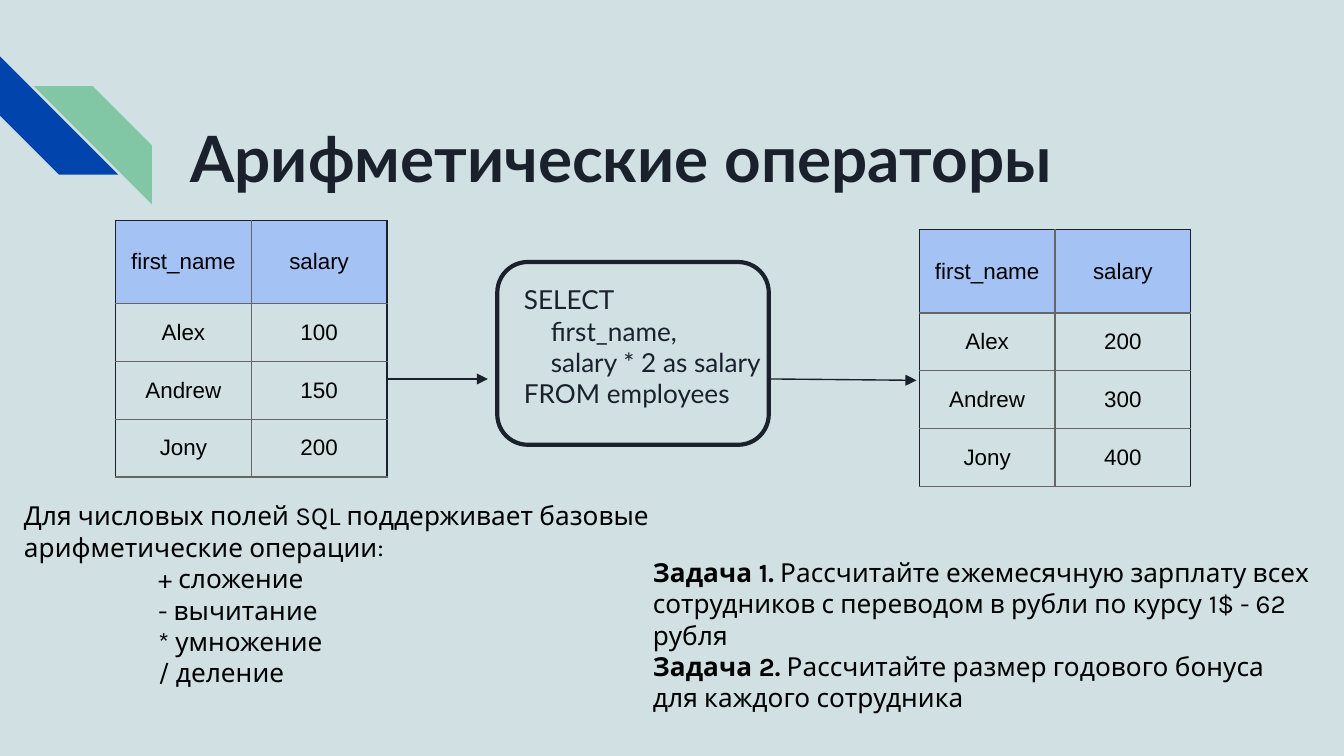
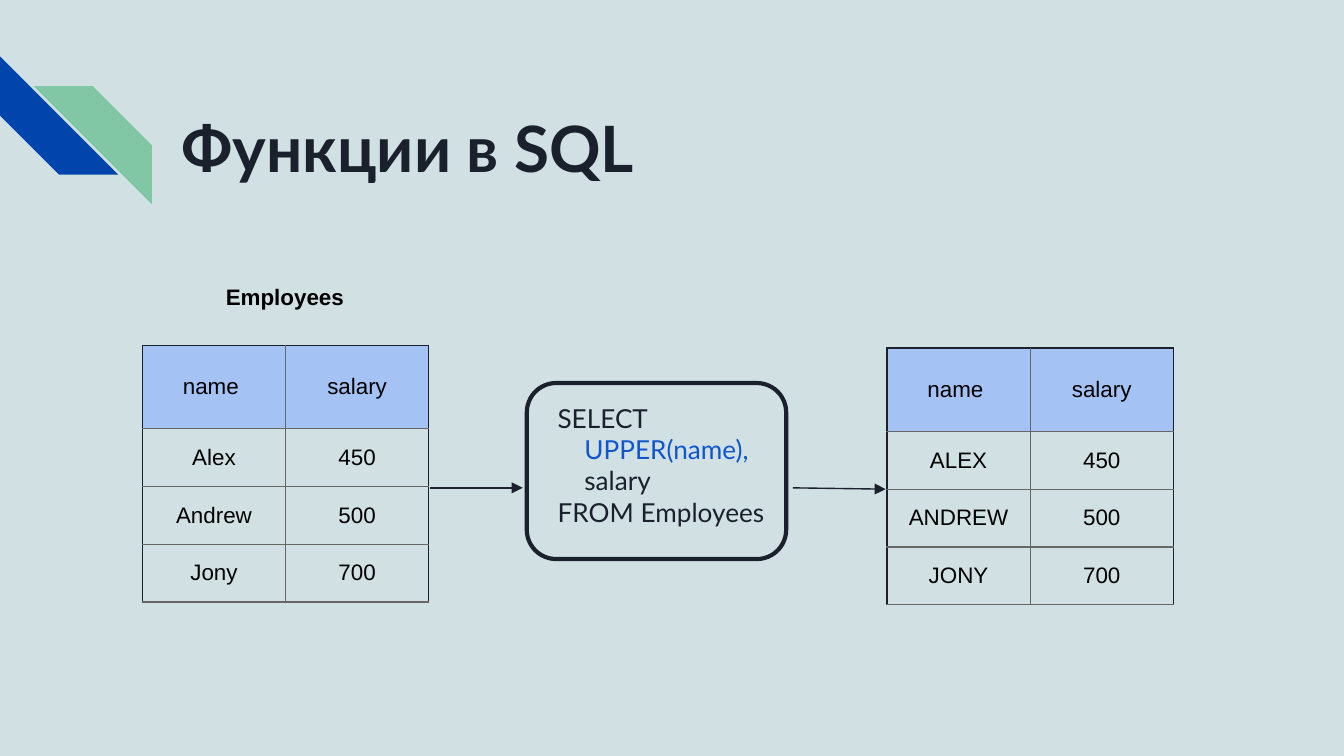
from lxml import etree
from pptx import Presentation
from pptx.dml.color import RGBColor
from pptx.enum.shapes import MSO_CONNECTOR, MSO_SHAPE
from pptx.enum.text import MSO_ANCHOR, MSO_AUTO_SIZE, PP_ALIGN
from pptx.oxml.ns import qn
from pptx.util import Inches, Pt

STRIPE = MSO_SHAPE.DIAGONAL_STRIPE
ROUND_RECT = MSO_SHAPE.ROUNDED_RECTANGLE
STRAIGHT = MSO_CONNECTOR.STRAIGHT
MIDDLE = MSO_ANCHOR.MIDDLE
LEFT, CENTER = PP_ALIGN.LEFT, PP_ALIGN.CENTER
GROW = MSO_AUTO_SIZE.SHAPE_TO_FIT_TEXT

BACKGROUND = RGBColor(0xD0, 0xE0, 0xE3)
INK = RGBColor(0x1B, 0x21, 0x2C)
BLACK = RGBColor(0, 0, 0)
GREY = RGBColor(0x66, 0x66, 0x66)
BLUE = RGBColor(0x01, 0x45, 0xAC)
GREEN = RGBColor(0x82, 0xC7, 0xA5)
HEADER = RGBColor(0xA4, 0xC2, 0xF4)
ACCENT = RGBColor(0x11, 0x55, 0xCC)

HEADING_FONT, BODY_FONT, TABLE_FONT = "Lato", "Karla", "Arial"
HEADER_HEIGHT, ROW_HEIGHT = 0.62, 0.43
MARGIN = 0.1
CODE_INDENT = 0.2
BODY_INDENT, LIST_INDENT = 0.11, 1.11


def write(p, text, font=BODY_FONT, size=14, color=BLACK, bold=False,
          align=LEFT, indent=0):
    """Append one formatted run to a paragraph and set its layout."""
    p.alignment = align
    if indent:
        pPr = p._p.get_or_add_pPr()
        pPr.set("marL", str(Inches(indent)))
        pPr.set("indent", "0")
    r = p.add_run()
    r.text = text
    r.font.name = font
    r.font.size = Pt(size)
    r.font.bold = bold
    r.font.color.rgb = color


def set_borders(cell, **colors):
    """Draw thin cell borders; keys are L, R, T and B."""
    tcPr = cell._tc.get_or_add_tcPr()
    for i, side in enumerate("LRTB"):
        ln = etree.Element(qn("a:ln" + side), w=str(Pt(0.75)))
        fill = etree.SubElement(ln, qn("a:solidFill"))
        etree.SubElement(fill, qn("a:srgbClr"), val=str(colors[side]))
        tcPr.insert(i, ln)


class Deck:
    """Holds the shared style and the current slide."""

    def __init__(self):
        """Start a 16:9 presentation with the common background."""
        self.prs = Presentation()
        self.prs.slide_width = Inches(10)
        self.prs.slide_height = self.prs.slide_width * 9 // 16
        fill = self.prs.slide_master.background.fill
        fill.solid()
        fill.fore_color.rgb = BACKGROUND
        self.s = None

    def slide(self, title, x, y, w, h):
        """Add a slide with the corner stripes and a title."""
        self.s = self.prs.slides.add_slide(self.prs.slide_layouts[6])
        group = self.s.shapes.add_group_shape()
        self.stripe(group, 0, 0.42, BLUE).rotation = 270
        green = self.stripe(group, 0.25, 0.64, GREEN)
        green._element.spPr.find(qn("a:xfrm")).set("flipH", "1")
        self.text(x, y, w, h, [[(title, {})]], inset=MARGIN,
                  font=HEADING_FONT, size=34.2, color=INK, bold=True)

    def stripe(self, group, x, y, color):
        """Add one diagonal stripe to the corner group."""
        sp = group.shapes.add_shape(STRIPE, Inches(x), Inches(y),
                                    Inches(0.88), Inches(0.88))
        sp.shadow.inherit = False
        sp.fill.solid()
        sp.fill.fore_color.rgb = color
        sp.line.fill.background()
        return sp

    def text(self, x, y, w, h, paragraphs, inset=0.05, grow=False, **style):
        """Add a text box; each paragraph is a list of (text, format) runs."""
        sp = self.s.shapes.add_textbox(Inches(x), Inches(y),
                                       Inches(w), Inches(h))
        tf = sp.text_frame
        tf.word_wrap = True
        tf.margin_left = tf.margin_right = Inches(MARGIN)
        tf.margin_top = tf.margin_bottom = Inches(inset)
        if grow:
            tf.auto_size = GROW
        for i, runs in enumerate(paragraphs):
            p = tf.add_paragraph() if i else tf.paragraphs[0]
            for text, extra in runs:
                write(p, text, **{**style, **extra})

    def code(self, text_at, frame_at, lines):
        """Add an SQL query and the rounded frame around it."""
        self.text(*text_at, [[line] for line in lines], inset=MARGIN,
                  font=HEADING_FONT, color=INK)
        sp = self.s.shapes.add_shape(ROUND_RECT, *map(Inches, frame_at))
        sp.shadow.inherit = False
        sp.fill.background()
        sp.line.color.rgb = INK
        sp.line.width = Pt(2.25)

    def table(self, x, y, w, rows):
        """Add a table with a coloured header row and equal columns."""
        n_rows, n_cols = len(rows), len(rows[0])
        height = HEADER_HEIGHT + ROW_HEIGHT * (n_rows - 1)
        table = self.s.shapes.add_table(n_rows, n_cols, Inches(x), Inches(y),
                                        Inches(w), Inches(height)).table
        table.first_row = table.horz_banding = False
        for i, row in enumerate(rows):
            table.rows[i].height = Inches(ROW_HEIGHT if i else HEADER_HEIGHT)
            for j, value in enumerate(row):
                cell = table.cell(i, j)
                cell.vertical_anchor = MIDDLE
                cell.margin_left = cell.margin_right = Inches(MARGIN)
                cell.margin_top = cell.margin_bottom = Inches(MARGIN)
                write(cell.text_frame.paragraphs[0], value, font=TABLE_FONT,
                      size=12, align=CENTER)
                if i:
                    cell.fill.background()
                else:
                    cell.fill.solid()
                    cell.fill.fore_color.rgb = HEADER
                set_borders(cell, L=GREY if j else INK, T=GREY if i else INK,
                            R=INK if j == n_cols - 1 else GREY, B=GREY)

    def arrow(self, x1, y1, x2, y2):
        """Add a thin line with an arrowhead at its end."""
        line = self.s.shapes.add_connector(STRAIGHT, Inches(x1), Inches(y1),
                                           Inches(x2), Inches(y2))
        line.line.color.rgb = INK
        line.line.width = Pt(0.75)
        spPr = line._element.spPr
        etree.SubElement(spPr.find(qn("a:ln")), qn("a:tailEnd"),
                         type="triangle")
        etree.SubElement(spPr, qn("a:effectLst"))


def salary_rows(heading, names, salaries):
    """Return the table rows for names and their salaries."""
    return [(heading, "salary"), *zip(names, salaries)]


def arithmetic_slide(deck):
    """Build the slide on arithmetic operators."""
    deck.slide("Арифметические операторы", 1.32, 0.78, 7.7, 0.74)
    inner = {"indent": CODE_INDENT}
    deck.code((3.8, 2.01, 2.34, 1.01), (3.7, 1.95, 2.02, 1.36), [
        ("SELECT", {}), ("first_name,", inner),
        ("salary * 2 as salary", inner), ("FROM employees", {})])
    names = ("Alex", "Andrew", "Jony")
    for x, y, salaries in ((0.86, 1.64, ("100", "150", "200")),
                           (6.84, 1.71, ("200", "300", "400"))):
        deck.table(x, y, 2.02, salary_rows("first_name", names, salaries))
    deck.arrow(2.89, 2.82, 3.63, 2.82)
    deck.arrow(5.73, 2.82, 6.82, 2.83)

    bold = {"bold": True}
    deck.text(4.65, 4.09, 5.21, 1.04, [
        [("Задача 1.", bold),
         (" Рассчитайте ежемесячную зарплату всех сотрудников с переводом "
          "в рубли по курсу 1$ - 62 рубля", {})],
        [("Задача 2.", bold),
         (" Рассчитайте размер годового бонуса для каждого сотрудника", {})],
    ], grow=True, indent=BODY_INDENT)

    operations = ("+ сложение", "- вычитание", "* умножение", "/ деление")
    intro = ("Для числовых полей SQL поддерживает базовые "
             "арифметические операции:")
    deck.text(-0.03, 3.67, 5, 1.51, [
        [(intro, {"indent": BODY_INDENT})],
        *([(operation, {})] for operation in operations),
    ], grow=True, indent=LIST_INDENT)


def functions_slide(deck):
    """Build the slide on SQL functions."""
    deck.slide("Функции в SQL", 1.25, 0.71, 7.41, 0.76)
    deck.text(0.48, 2.01, 3.28, 0.4, [[("Employees", {})]], inset=MARGIN,
              grow=True, font=TABLE_FONT, size=12, bold=True, align=CENTER)
    names = ("Alex", "Andrew", "Jony")
    salaries = ("450", "500", "700")
    deck.table(1.06, 2.57, 2.13, salary_rows("name ", names, salaries))
    inner = {"indent": CODE_INDENT}
    deck.code((4.05, 2.89, 1.81, 1.31), (3.92, 2.85, 1.93, 1.31), [
        ("SELECT", {}), ("UPPER(name),", {**inner, "color": ACCENT}),
        ("salary", inner), ("FROM Employees", {})])
    upper_names = [name.upper() for name in names]
    deck.table(6.6, 2.59, 2.13, salary_rows("name ", upper_names, salaries))
    deck.arrow(3.2, 3.63, 3.89, 3.63)
    deck.arrow(5.9, 3.63, 6.59, 3.64)


deck = Deck()
arithmetic_slide(deck)
functions_slide(deck)
deck.prs.save("out.pptx")
